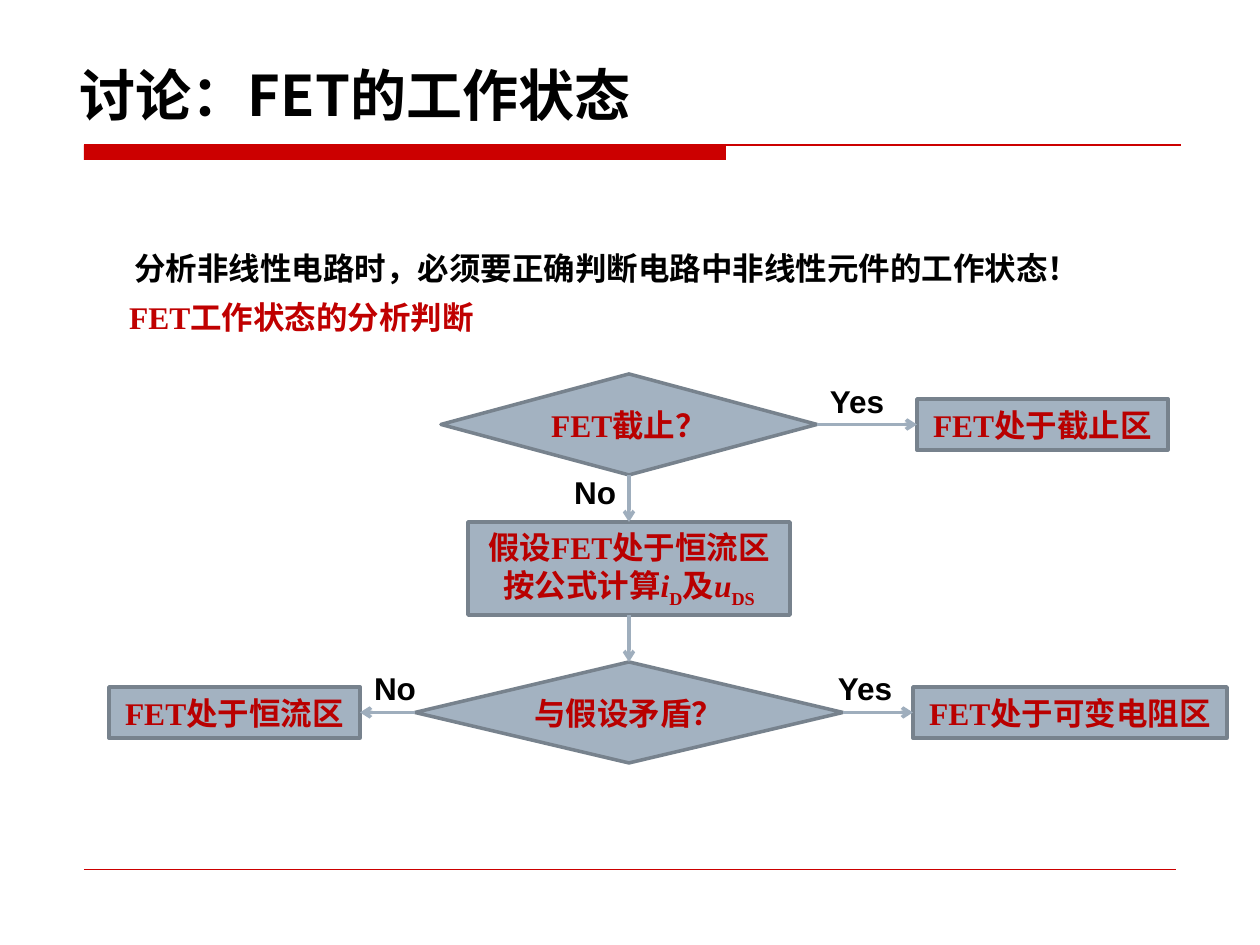
"""Build a slide with a flowchart for judging the working state of an FET."""
from lxml import etree
from pptx import Presentation, util as u
from pptx.dml.color import RGBColor
from pptx.enum import shapes, text
from pptx.oxml.ns import qn

PX = 914400 // 126
BLACK = RGBColor(0x00, 0x00, 0x00)
RULE_RED = RGBColor(0xCC, 0x00, 0x00)
HEADING_RED = RGBColor(0xC0, 0x00, 0x00)
NODE_RED = RGBColor(0xB9, 0x00, 0x00)
NODE_FILL = RGBColor(0xA3, 0xB2, 0xC1)
NODE_LINE = RGBColor(0x77, 0x82, 0x8D)
ARROW = RGBColor(0x9F, 0xAE, 0xBD)
CJK, SERIF, SANS = "Noto Sans CJK SC", "Times New Roman", "Arial"
DECISION = shapes.MSO_SHAPE.FLOWCHART_DECISION
PROCESS = shapes.MSO_SHAPE.FLOWCHART_PROCESS
TOP, LEFT, BOTTOM, RIGHT = range(4)

TITLE = "讨论：FET的工作状态"
TITLE_BOX = (67, 54, 973, 81)
RULES = [(84, 1181, 145, 0.75, RULE_RED), (84, 1176, 869, 0.25, RULE_RED)]
RULE_BAR = (84, 145, 642, 15)
STATEMENTS = [
    ("分析非线性电路时，必须要正确判断电路中非线性元件的工作状态！", (122, 243, 970, 50), CJK, BLACK),
    ("FET工作状态的分析判断", (113, 292, 377, 50), SERIF, HEADING_RED),
]
BRANCH_LABELS = [("Yes", 857, 401), ("Yes", 865, 688), ("No", 595, 492), ("No", 395, 688)]
LABEL_SIZE = (80, 50)

NODES = {
    "cutoff?": (DECISION, 629, 424, 376, 101, [[("FET截止？", "")]]),
    "assume": (PROCESS, 629, 568, 322, 93, [
        [("假设FET处于恒流区", "")],
        [("按公式计算", ""), ("i", "italic"), ("D", "sub"),
         ("及", ""), ("u", "italic"), ("DS", "sub")],
    ]),
    "conflict?": (DECISION, 629, 712, 428, 101, [[("与假设矛盾？", "")]]),
    "cutoff": (PROCESS, 1042, 424, 251, 51, [[("FET处于截止区", "")]]),
    "variable": (PROCESS, 1070, 712, 314, 51, [[("FET处于可变电阻区", "")]]),
    "constant": (PROCESS, 234, 712, 251, 51, [[("FET处于恒流区", "")]]),
}
FLOWS = [
    ("cutoff?", BOTTOM, "assume", TOP),
    ("assume", BOTTOM, "conflict?", TOP),
    ("cutoff?", RIGHT, "cutoff", LEFT),
    ("conflict?", RIGHT, "variable", LEFT),
    ("conflict?", LEFT, "constant", RIGHT),
]


def emu(lengths):
    return [length * PX for length in lengths]


def centred(x, y, width, height):
    return x - width // 2, y - height // 2, width, height


def format_paragraph(paragraph, name, size, color, alignment):
    paragraph.alignment = alignment
    font = paragraph.font
    font.name, font.size, font.bold = name, u.Pt(size), True
    font.color.rgb = color
    latin = paragraph._p.pPr.find(qn("a:defRPr")).find(qn("a:latin"))
    east_asian = etree.Element(qn("a:ea"), typeface=CJK)
    latin.addnext(east_asian)


def add_label(slide, words, box, name, color):
    label = slide.shapes.add_textbox(*emu(box))
    paragraph = label.text_frame.paragraphs[0]
    paragraph.text = words
    format_paragraph(paragraph, name, 18, color, text.PP_ALIGN.CENTER)


def add_node(slide, kind, x, y, width, height, lines):
    node = slide.shapes.add_shape(kind, *emu(centred(x, y, width, height)))
    node.shadow.inherit = False
    node.fill.solid()
    node.fill.fore_color.rgb = NODE_FILL
    node.line.color.rgb = NODE_LINE
    node.line.width = u.Pt(2)
    frame = node.text_frame
    frame.word_wrap = False
    frame.vertical_anchor = text.MSO_ANCHOR.MIDDLE
    for index, pieces in enumerate(lines):
        paragraph = frame.add_paragraph() if index else frame.paragraphs[0]
        format_paragraph(paragraph, SERIF, 18, NODE_RED, text.PP_ALIGN.CENTER)
        for words, style in pieces:
            run = paragraph.add_run()
            run.text = words
            if style == "italic":
                run.font.italic = True
            elif style == "sub":
                run.font._element.set("baseline", "-25000")
    return node


def add_line(slide, ends, width, color):
    line = slide.shapes.add_connector(shapes.MSO_CONNECTOR.STRAIGHT, *emu(ends))
    line.line.width = u.Pt(width)
    line.line.color.rgb = color
    etree.SubElement(line._element.spPr, qn("a:effectLst"))
    return line


def add_title(slide):
    title = slide.shapes.title
    title.left, title.top, title.width, title.height = emu(TITLE_BOX)
    frame = title.text_frame
    frame.text = TITLE
    frame.auto_size = text.MSO_AUTO_SIZE.NONE
    frame.vertical_anchor = text.MSO_ANCHOR.TOP
    format_paragraph(frame.paragraphs[0], "Noto Sans CJK JP", 32, BLACK, text.PP_ALIGN.LEFT)


def main():
    presentation = Presentation()
    presentation.slide_width, presentation.slide_height = emu((1260, 945))
    slide = presentation.slides.add_slide(presentation.slide_layouts[5])

    add_title(slide)
    bar = slide.shapes.add_shape(shapes.MSO_SHAPE.RECTANGLE, *emu(RULE_BAR))
    bar.shadow.inherit = False
    bar.fill.solid()
    bar.fill.fore_color.rgb = RULE_RED
    bar.line.fill.background()
    for start, end, y, width, color in RULES:
        add_line(slide, (start, y, end, y), width, color)

    for statement in STATEMENTS:
        add_label(slide, *statement)
    for words, x, y in BRANCH_LABELS:
        add_label(slide, words, centred(x, y, *LABEL_SIZE), SANS, BLACK)

    nodes = {name: add_node(slide, *node) for name, node in NODES.items()}
    for source, source_side, target, target_side in FLOWS:
        arrow = add_line(slide, (0, 0, 0, 0), 2, ARROW)
        arrow.begin_connect(nodes[source], source_side)
        arrow.end_connect(nodes[target], target_side)
        etree.SubElement(arrow.line._get_or_add_ln(), qn("a:tailEnd"), type="arrow")

    presentation.save("out.pptx")


if __name__ == "__main__":
    main()
